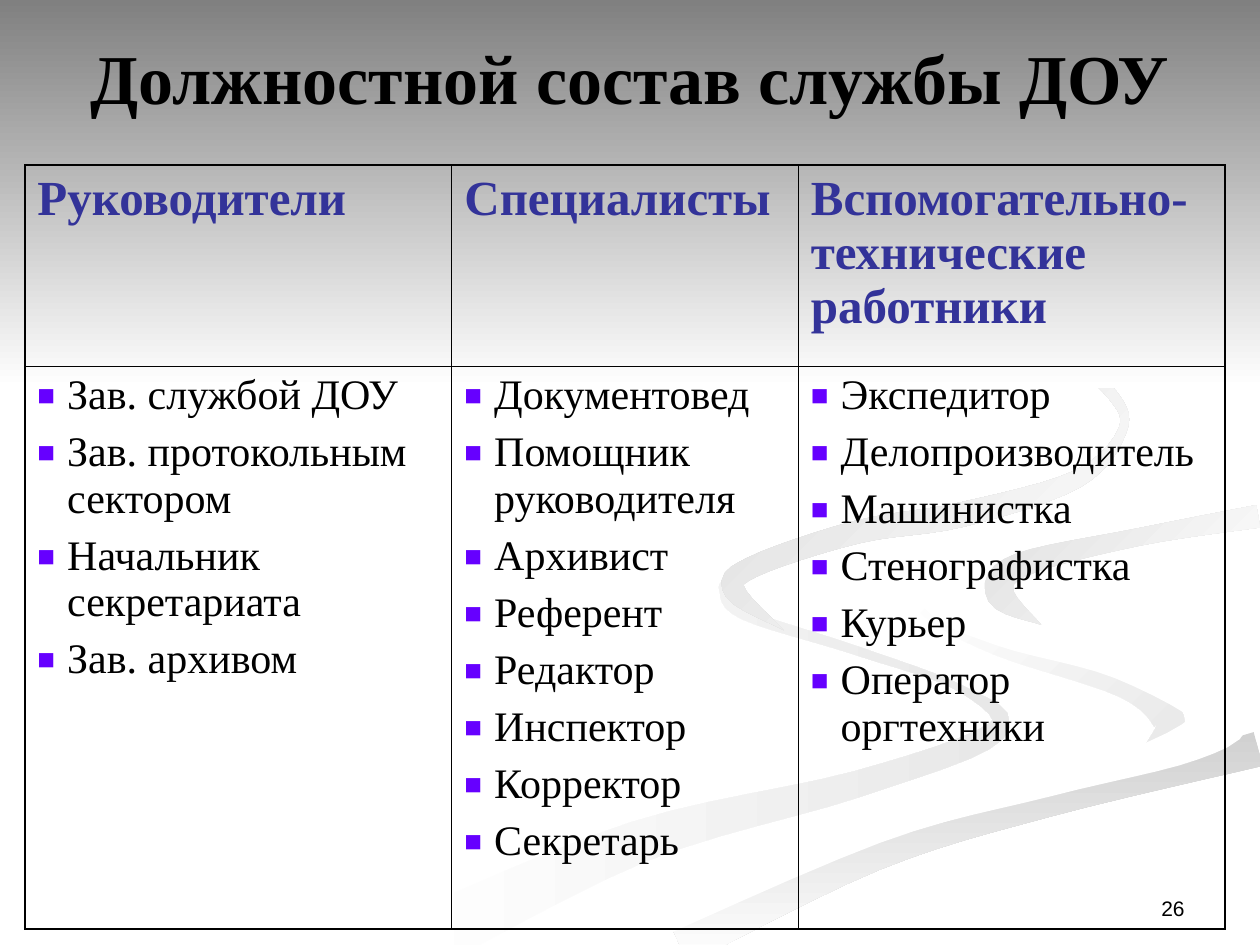
from dataclasses import dataclass
from math import hypot

from lxml import etree
from pptx import Presentation
from pptx.dml.color import RGBColor
from pptx.enum.shapes import MSO_SHAPE
from pptx.enum.text import MSO_ANCHOR, MSO_AUTO_SIZE, PP_ALIGN
from pptx.oxml.ns import qn
from pptx.util import Pt

RECTANGLE = MSO_SHAPE.RECTANGLE
MIDDLE, BOTTOM = MSO_ANCHOR.MIDDLE, MSO_ANCHOR.BOTTOM
CENTER, RIGHT = PP_ALIGN.CENTER, PP_ALIGN.RIGHT
NO_AUTOFIT = MSO_AUTO_SIZE.NONE
TITLE_ONLY = 5
CURVE_STEPS = 6


@dataclass(frozen=True)
class Theme:
    serif: str = "Times New Roman"
    sans: str = "Arial"
    ink: str = "000000"
    heading: str = "333399"
    bullet: str = "6600FF"
    white: str = "FFFFFF"
    band: str = "808080"
    mist: str = "E8E8E8"
    haze: str = "E0E0E0"
    smoke: str = "D8D8D8"
    shade: str = "D1D1D1"
    title_size: int = 40
    heading_size: int = 28
    item_size: int = 24
    number_size: int = 12
    outer_line: float = 1.08
    inner_line: float = 0.45


THEME = Theme()

STAFF = {
    "Руководители": [
        "Зав. службой ДОУ", "Зав. протокольным сектором",
        "Начальник секретариата", "Зав. архивом"],
    "Специалисты": [
        "Документовед", "Помощник руководителя", "Архивист", "Референт",
        "Редактор", "Инспектор", "Корректор", "Секретарь"],
    "Вспомогательно-технические работники": [
        "Экспедитор", "Делопроизводитель", "Машинистка", "Стенографистка",
        "Курьер", "Оператор оргтехники"],
}


@dataclass(frozen=True)
class Ribbon:
    start: str
    end: str
    angle: int
    spine: tuple  # (x, y, breadth)


LEFT_STREAM = Ribbon(THEME.white, THEME.mist, 0, (
    (238, 539, 36), (365, 481, 24), (490, 448, 15), (569, 418, 12),
    (550, 394, 4), (490, 372, 5), (425, 351, 6), (412, 337, 2), (414, 331, 0)))
RIGHT_BEND = Ribbon(THEME.white, THEME.mist, 45, (
    (521, 334, 0), (530, 350, 6), (570, 370, 9), (643, 392, 14),
    (668, 412, 18), (660, 426, 10), (644, 436, 0)))
ROAD_SIDE = Ribbon(THEME.shade, THEME.white, 90, (
    (388, 539, 26), (500, 490, 15), (600, 460, 13), (719, 428, 20)))
ROAD = Ribbon(THEME.white, THEME.white, 0, (
    (353, 539, 14), (501, 477, 10), (600, 450, 10), (680, 424, 22), (697, 402, 34),
    (640, 379, 18), (575, 357, 26), (543, 333, 40), (570, 313, 26),
    (640, 299, 10), (719, 284, 10)))
UPPER_BEND = Ribbon(THEME.haze, THEME.white, 45, (
    (595, 357, 0), (572, 340, 16), (583, 323, 14), (650, 307, 10), (719, 295, 13)))
UPPER_STREAM = Ribbon(THEME.smoke, THEME.white, 45, (
    (549, 168, 0), (600, 195, 6), (636, 226, 6), (641, 247, 5), (615, 274, 10),
    (550, 294, 14), (490, 304, 13), (430, 324, 12), (420, 338, 12), (448, 360, 0)))
RIBBONS = (LEFT_STREAM, RIGHT_BEND, ROAD_SIDE, ROAD, UPPER_BEND, UPPER_STREAM)


def color(code):
    return RGBColor.from_string(code)


def style_text(paragraph, size, code, font=THEME.serif, bold=False):
    for run in paragraph.runs:
        run.font.name = font
        run.font.size = Pt(size)
        run.font.bold = bold
        run.font.color.rgb = color(code)


def paint(shape, start, end, clockwise):
    shape.shadow.inherit = False
    shape.line.fill.background()
    if start == end:
        shape.fill.solid()
        shape.fill.fore_color.rgb = color(start)
        return
    shape.fill.gradient()
    shape.fill.gradient_angle = (360 - clockwise) % 360
    for stop, code in zip(shape.fill.gradient_stops, (start, end)):
        stop.color.rgb = color(code)


def smooth(knots):
    padded = (knots[0], *knots, knots[-1])
    curve = []
    for quad in zip(padded, padded[1:], padded[2:], padded[3:]):
        for step in range(CURVE_STEPS):
            t = step / CURVE_STEPS
            curve.append(tuple(
                b + t * (c - a) / 2 + t**2 * (2 * a - 5 * b + 4 * c - d) / 2
                + t**3 * (3 * b - a - 3 * c + d) / 2
                for a, b, c, d in zip(*quad)))
    return curve + [knots[-1]]


def ribbon_outline(spine):
    curve = smooth(spine)
    near_edge, far_edge = [], []
    for before, (x, y, breadth), after in zip(curve[:1] + curve, curve, curve[1:] + curve[-1:]):
        run, rise = after[0] - before[0], after[1] - before[1]
        reach = max(breadth, 0) / 2 / hypot(run, rise)
        near_edge.append((Pt(x - rise * reach), Pt(y + run * reach)))
        far_edge.append((Pt(x + rise * reach), Pt(y - run * reach)))
    return near_edge + far_edge[::-1]


def draw_backdrop(slide, left, top, width, band_height):
    for ribbon in RIBBONS:
        outline = ribbon_outline(ribbon.spine)
        builder = slide.shapes.build_freeform(*outline[0])
        builder.add_line_segments(outline[1:], close=True)
        stream = builder.convert_to_shape(Pt(left), Pt(top))
        paint(stream, ribbon.start, ribbon.end, ribbon.angle)
    band = slide.shapes.add_shape(RECTANGLE, Pt(left), Pt(top), Pt(width), Pt(band_height))
    paint(band, THEME.band, THEME.white, 90)


def place_title(slide, left, top, width, height):
    title = slide.shapes.title
    title.left, title.top, title.width, title.height = map(Pt, (left, top, width, height))
    frame = title.text_frame
    frame.text = "Должностной состав службы ДОУ"
    frame.auto_size = NO_AUTOFIT
    frame.vertical_anchor = MIDDLE
    frame.margin_left = frame.margin_right = frame.margin_top = frame.margin_bottom = 0
    frame.paragraphs[0].alignment = CENTER
    style_text(frame.paragraphs[0], THEME.title_size, THEME.ink, bold=True)
    title._element.getparent().append(title._element)


def place_number(slide, left, top, width, height):
    frame = slide.shapes.add_textbox(Pt(left), Pt(top), Pt(width), Pt(height)).text_frame
    frame.word_wrap = True
    frame.vertical_anchor = BOTTOM
    frame.text = "26"
    frame.paragraphs[0].alignment = RIGHT
    style_text(frame.paragraphs[0], THEME.number_size, THEME.ink, THEME.sans)


def add_bullet(paragraph, indent):
    properties = paragraph._p.get_or_add_pPr()
    properties.set("marL", str(Pt(indent)))
    properties.set("indent", str(-Pt(indent)))
    tint = etree.SubElement(properties, qn("a:buClr"))
    etree.SubElement(tint, qn("a:srgbClr"), val=THEME.bullet)
    etree.SubElement(properties, qn("a:buSzPct"), val="70000")
    etree.SubElement(properties, qn("a:buFont"), typeface=THEME.sans)
    etree.SubElement(properties, qn("a:buChar"), char="■")


def set_borders(cell, outer_sides):
    properties = cell._tc.get_or_add_tcPr()
    for side in "LRTB":
        weight = THEME.outer_line if side in outer_sides else THEME.inner_line
        border = etree.SubElement(properties, qn(f"a:ln{side}"), w=str(Pt(weight)))
        fill = etree.SubElement(border, qn("a:solidFill"))
        etree.SubElement(fill, qn("a:srgbClr"), val=THEME.ink)


def place_staff(slide, left, top, column_widths, row_heights):
    table = slide.shapes.add_table(
        len(row_heights), len(column_widths), Pt(left), Pt(top),
        Pt(sum(column_widths)), Pt(sum(row_heights))).table
    table.first_row = table.horz_banding = False
    for row, height in zip(table.rows, row_heights):
        row.height = Pt(height)
    for index, (group, posts) in enumerate(STAFF.items()):
        table.columns[index].width = Pt(column_widths[index])
        heading, listing = table.cell(0, index), table.cell(1, index)
        for cell, outer_row in ((heading, "T"), (listing, "B")):
            set_borders(cell, ("L", "", "R")[index] + outer_row)
            cell.fill.background()
        heading.text = group
        heading_line = heading.text_frame.paragraphs[0]
        heading_line.space_before = Pt(7)
        style_text(heading_line, THEME.heading_size, THEME.heading, bold=True)
        listing.text = "\n".join(posts)
        for post in listing.text_frame.paragraphs:
            post.space_before = Pt(6)
            add_bullet(post, 17)
            style_text(post, THEME.item_size, THEME.ink)


def main():
    deck = Presentation()
    deck.slide_width, deck.slide_height = Pt(720), Pt(540)
    slide = deck.slides.add_slide(deck.slide_layouts[TITLE_ONLY])
    draw_backdrop(slide, 0, 0, 720, 222)
    place_number(slide, 516, 492, 168, 37.5)
    place_title(slide, 36, 21.6, 648, 44)
    place_staff(slide, 14.2, 94.3, (244, 198, 244), (115, 321.6))
    deck.save("out.pptx")


if __name__ == "__main__":
    main()
